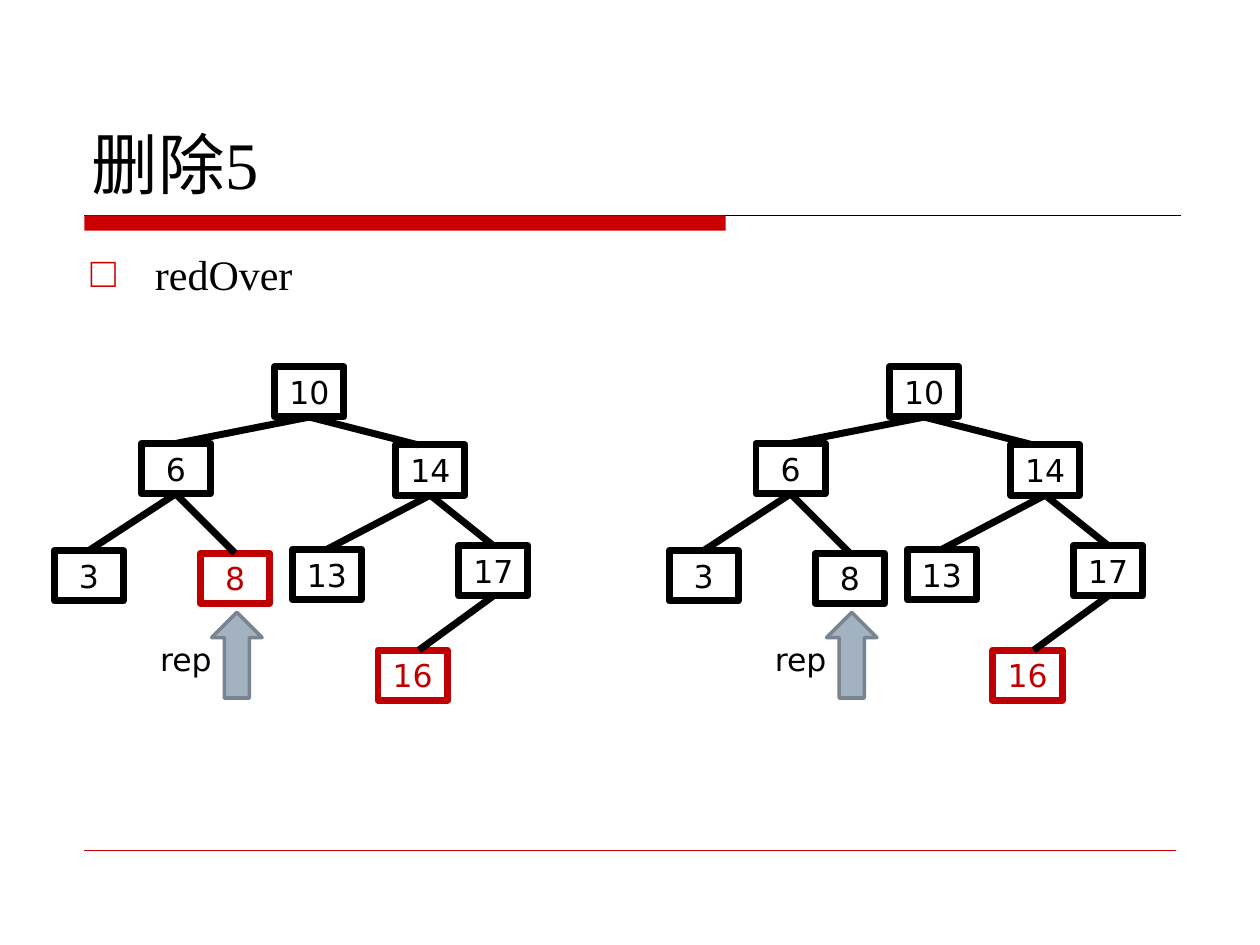
from lxml.etree import SubElement
from pptx import Presentation
from pptx.dml.color import RGBColor
from pptx.enum.shapes import MSO_CONNECTOR as Connector, MSO_SHAPE as Preset
from pptx.enum.text import MSO_ANCHOR as Anchor, MSO_AUTO_SIZE as AutoSize, PP_ALIGN as Align
from pptx.oxml.ns import qn
from pptx.util import Inches, Pt

COLUMNS, ROWS = 100, 75  # grid of 0.1 inch squares
SERIF, SANS = "Times New Roman", "DejaVu Sans"
BLACK, RED, ACCENT = "000000", "C00000", "CC0000"
NODE_WIDTH, NODE_HEIGHT = 5.5, 4
TOP, BOTTOM = 0, 2
TREE_OFFSET = 48.8

# key: (column, row)
NODES = {
    "10": (21.8, 29.1),
    "6": (11.2, 35.2), "14": (31.4, 35.3),
    "3": (4.3, 43.7), "8": (15.9, 43.9), "13": (23.2, 43.6), "17": (36.4, 43.3),
    "16": (30, 51.6),
}
# parent, child, columns from the middle of the child's top side
EDGES = [
    ("10", "6", 0), ("10", "14", -1), ("6", "3", 0), ("6", "8", 0),
    ("14", "13", 0), ("14", "17", 0), ("17", "16", 0.5),
]


def grid(*cells):
    return [Inches(cell / 10) for cell in cells]


def color(value):
    return RGBColor.from_string(value)


def add_run(paragraph, text, size, font, value=BLACK):
    run = paragraph.add_run()
    run.text = text
    run.font.size = Pt(size)
    run.font.name = font
    run.font.color.rgb = color(value)


def set_line(shape, value, width):
    shape.line.color.rgb = color(value)
    shape.line.width = Pt(width)


def place(shape, *cells):
    shape.left, shape.top, shape.width, shape.height = grid(*cells)


def set_bullet(paragraph, character, value, indent):
    properties = paragraph._p.get_or_add_pPr()
    properties.set("marL", str(indent))
    properties.set("indent", str(-indent))
    bullet_color = SubElement(properties, qn("a:buClr"))
    SubElement(bullet_color, qn("a:srgbClr")).set("val", value)
    SubElement(properties, qn("a:buChar")).set("char", character)


def add_line(shapes, start, end, value, width):
    line = shapes.add_connector(Connector.STRAIGHT, *grid(*start, *end))
    set_line(line, value, width)
    SubElement(line._element.spPr, qn("a:effectLst"))
    return line


def add_node(shapes, key, column, row, value):
    node = shapes.add_shape(Preset.RECTANGLE, *grid(column, row, NODE_WIDTH, NODE_HEIGHT))
    node.shadow.inherit = False
    node.fill.background()
    set_line(node, value, 4)
    paragraph = node.text_frame.paragraphs[0]
    paragraph.alignment = Align.CENTER
    add_run(paragraph, key, 18, SANS, value)
    return node


def add_tree(slide, offset, red_keys):
    shapes = slide.shapes.add_group_shape().shapes
    nodes = {}
    for key, (column, row) in NODES.items():
        value = RED if key in red_keys else BLACK
        nodes[key] = add_node(shapes, key, column + offset, row, value)
    for parent, child, shift in EDGES:
        middle = offset + NODE_WIDTH / 2
        start = NODES[parent][0] + middle, NODES[parent][1] + NODE_HEIGHT
        end = NODES[child][0] + middle + shift, NODES[child][1]
        edge = add_line(shapes, start, end, BLACK, 4)
        edge.begin_connect(nodes[parent], BOTTOM)
        if not shift:
            edge.end_connect(nodes[child], TOP)


def add_pointer(slide, offset):
    """Labelled arrow pointing up at node 8."""
    shapes = slide.shapes.add_group_shape().shapes
    arrow = shapes.add_shape(Preset.LEFT_ARROW, *grid(15.4 + offset, 50, 6.8, 4))
    arrow.rotation = 90
    arrow.shadow.inherit = False
    arrow.fill.solid()
    arrow.fill.fore_color.rgb = color("A3B2C1")
    set_line(arrow, "79848F", 2)
    label = shapes.add_textbox(*grid(10.9 + offset, 50.3, 7.7, 4))
    label.text_frame.word_wrap = True
    paragraph = label.text_frame.paragraphs[0]
    paragraph.alignment = Align.CENTER
    add_run(paragraph, "rep", 18, SANS)


def add_rules(slide):
    add_line(slide.shapes, (6.7, 17.1), (93.7, 17.1), BLACK, 0.75)
    bar = slide.shapes.add_shape(Preset.RECTANGLE, *grid(6.7, 17.1, 50.9, 1.2))
    bar.shadow.inherit = False
    bar.fill.solid()
    bar.fill.fore_color.rgb = color(ACCENT)
    bar.line.fill.background()
    add_line(slide.shapes, (6.7, 67.5), (93.3, 67.5), ACCENT, 0.25)


def fill_placeholders(slide):
    title, body = slide.placeholders
    place(title, 6.3, 3.3, 87.5, 13.3)
    title.text_frame.vertical_anchor = Anchor.BOTTOM
    heading = title.text_frame.paragraphs[0]
    heading.alignment = Align.LEFT
    add_run(heading, "删除5", 38, SERIF)

    place(body, 6.2, 19.2, 87.5, 46.7)
    item = body.text_frame.paragraphs[0]
    item.space_before = Pt(4.8)
    set_bullet(item, "□", ACCENT, Inches(0.51))
    add_run(item, "redOver", 24, SERIF)
    for placeholder in (title, body):
        placeholder.text_frame.auto_size = AutoSize.NONE


def main():
    presentation = Presentation()
    presentation.slide_width, presentation.slide_height = grid(COLUMNS, ROWS)
    slide = presentation.slides.add_slide(presentation.slide_layouts[1])
    fill_placeholders(slide)
    add_rules(slide)
    for offset, red_keys in ((0, {"8", "16"}), (TREE_OFFSET, {"16"})):
        add_tree(slide, offset, red_keys)
        add_pointer(slide, offset)
    presentation.save("out.pptx")


if __name__ == "__main__":
    main()
